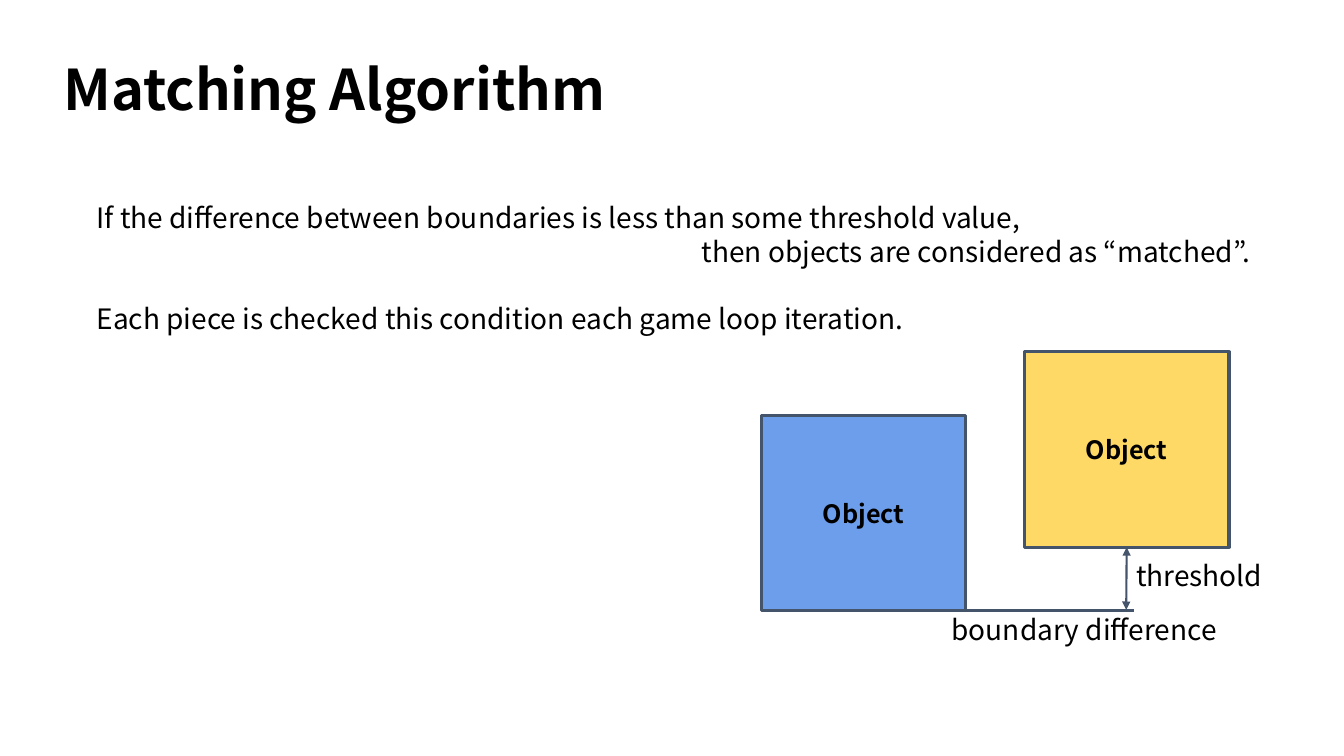
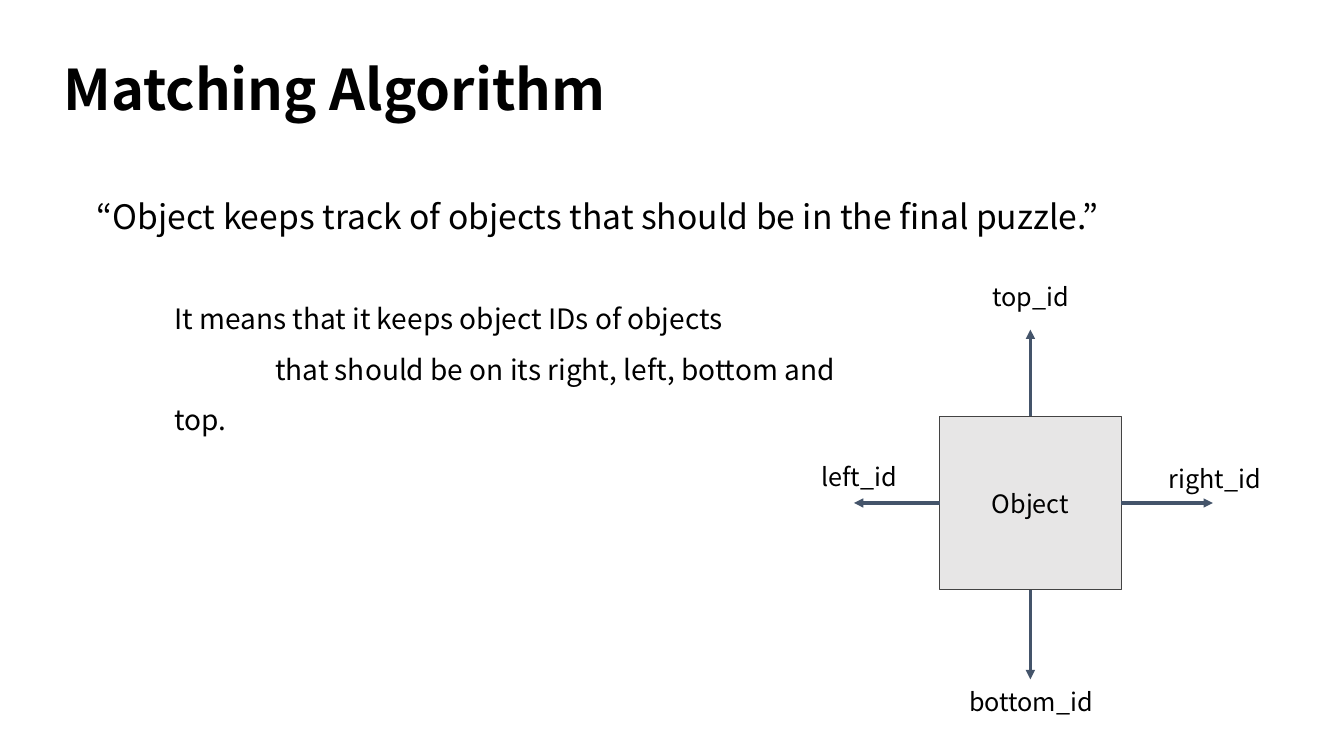
from lxml import etree
from pptx import Presentation
from pptx.dml.color import RGBColor as RGB
from pptx.enum.shapes import MSO_CONNECTOR as LINE, MSO_SHAPE as SHAPE
from pptx.enum.text import MSO_ANCHOR as ANCHOR, PP_ALIGN as ALIGN
from pptx.oxml.ns import qn
from pptx.util import Inches, Pt

FONT = "Noto Sans CJK KR"
BLACK, SLATE, GRAY = "000000", "44546A", "434343"
BLUE, GOLD, PALE = "6D9EEB", "FFD966", "E7E6E6"
TITLE = "Matching Algorithm"


def color(code):
    return RGB.from_string(code)


def write(par, text, size, bold=False, **form):
    """Fill a paragraph; form holds paragraph format values."""
    for name, value in form.items():
        setattr(par, name, value)
    run = par.add_run()
    run.text = text
    for name, value in dict(name=FONT, size=Pt(size), bold=bold).items():
        setattr(run.font, name, value)
    run.font.color.rgb = color(BLACK)


def indent(par, left=0, first=0):
    props = par._p.get_or_add_pPr()
    props.set("marL", str(Inches(left)))
    props.set("indent", str(Inches(first)))


def add_text(slide, box, lines, size, pad=0.1, bold=False, **form):
    """Add a text box with one paragraph a line and return its paragraphs."""
    frame = slide.shapes.add_textbox(*map(Inches, box)).text_frame
    frame.word_wrap = True
    frame.margin_top = frame.margin_bottom = Inches(pad)
    for i, line in enumerate(lines):
        par = frame.add_paragraph() if i else frame.paragraphs[0]
        write(par, line, size, bold, **form)
    return frame.paragraphs


def add_box(slide, box, fill, edge, width, bold):
    """Add a rectangle that stands for an object."""
    shape = slide.shapes.add_shape(SHAPE.RECTANGLE, *map(Inches, box))
    shape.shadow.inherit = False
    shape.fill.solid()
    shape.fill.fore_color.rgb = color(fill)
    shape.line.color.rgb = color(edge)
    shape.line.width = Pt(width)
    frame = shape.text_frame
    frame.vertical_anchor = ANCHOR.MIDDLE
    write(frame.paragraphs[0], "Object", 18, bold, alignment=ALIGN.CENTER)
    return shape


def add_line(slide, shape, side, end, width=2.25, tips=()):
    """Draw a line from the middle of a shape's side to a point."""
    x, y = map(Inches, end)
    line = slide.shapes.add_connector(LINE.STRAIGHT, x, y, x, y)
    line.begin_connect(shape, side)
    line.line.color.rgb = color(SLATE)
    line.line.width = Pt(width)
    props = line.element.spPr
    for tip in tips:
        etree.SubElement(props.find(qn("a:ln")), qn("a:" + tip), type="triangle")
    etree.SubElement(props, qn("a:effectLst"))


def add_slide(deck):
    slide = deck.slides.add_slide(deck.slide_layouts[6])
    add_text(slide, (0.53, 0.49, 7.19, 0.77), [TITLE], 40, 0.05, True)
    return slide


def add_match(deck):
    slide = add_slide(deck)
    pars = add_text(slide, (0.86, 1.89, 12.37, 2.13), [
        "If the difference between boundaries is less than some threshold value,",
        "then objects are considered as “matched”.",
        "Each piece is checked this condition each game loop iteration.",
    ], 20)
    indent(pars[1], left=6)
    pars[2].space_before = Pt(24)

    blue, gold = [
        add_box(slide, (x, y, 2.03, 1.94), fill, SLATE, 2.25, True)
        for x, y, fill in ((7.55, 4.12, BLUE), (10.16, 3.49, GOLD))
    ]
    add_line(slide, blue, 2, (11.25, 6.06))
    add_line(slide, gold, 2, (11.17, 6.05), 1.5, ("headEnd", "tailEnd"))
    add_text(slide, (9.34, 5.98, 3.13, 0.38), ["boundary difference"], 20)
    add_text(slide, (11.17, 5.44, 1.73, 0.33), ["threshold"], 20)


def add_track(deck):
    slide = add_slide(deck)
    add_text(slide, (0.86, 1.89, 10.8, 0.62), [
        "“Object keeps track of objects that should be in the final puzzle.”",
    ], 24, line_spacing=0.9)
    pars = add_text(slide, (1.63, 2.78, 7.26, 1.07), [
        "It means that it keeps object IDs of objects",
        "that should be on its right, left, bottom and top.",
    ], 20, 0.05, line_spacing=1.5)
    indent(pars[1], first=1)

    piece = add_box(slide, (9.32, 4.13, 1.8, 1.72), PALE, GRAY, 0.75, False)
    links = (
        ("top_id", (10.22, 3.27), (9.63, 2.69, 1.18), ALIGN.CENTER),
        ("left_id", (8.47, 4.99), (8.05, 4.48, 1.69), ALIGN.LEFT),
        ("bottom_id", (10.22, 6.74), (9.48, 6.71, 1.49), ALIGN.CENTER),
        ("right_id", (12.03, 4.99), (11.49, 4.5, 1.4), ALIGN.LEFT),
    )
    for side, (label, end, box, align) in enumerate(links):
        add_line(slide, piece, side, end, tips=["tailEnd"])
        add_text(slide, (*box, 0.49), [label], 18, alignment=align)


def main():
    deck = Presentation()
    deck.slide_width, deck.slide_height = Inches(13.33), Inches(7.5)
    add_match(deck)
    add_track(deck)
    deck.save("out.pptx")


if __name__ == "__main__":
    main()
